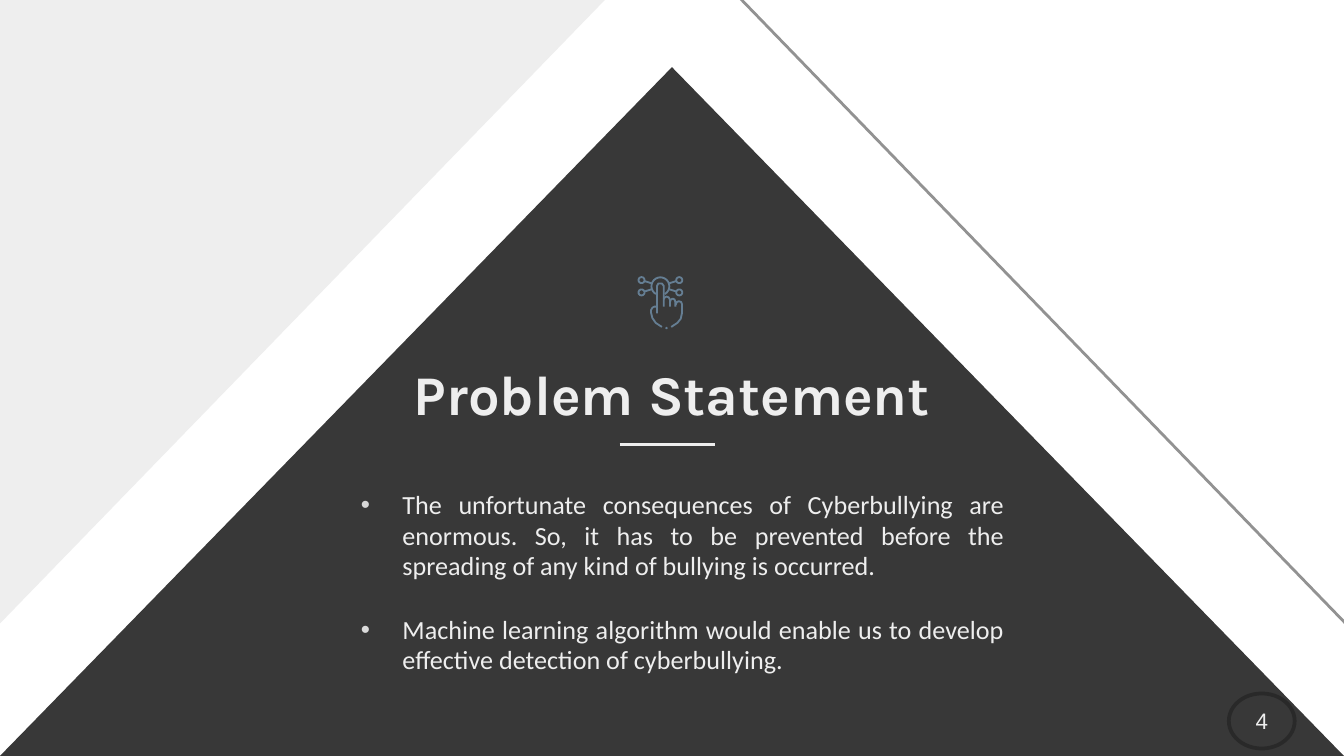
from math import cos, radians, sin

from lxml import etree
from pptx import Presentation
from pptx.dml.color import RGBColor
from pptx.enum.shapes import MSO_CONNECTOR, MSO_SHAPE
from pptx.enum.text import MSO_ANCHOR, MSO_AUTO_SIZE, PP_ALIGN
from pptx.oxml.ns import qn
from pptx.util import Pt

TRIANGLE, CORNER, ELLIPSE = (MSO_SHAPE.ISOSCELES_TRIANGLE, MSO_SHAPE.RIGHT_TRIANGLE,
                             MSO_SHAPE.OVAL)
STRAIGHT = MSO_CONNECTOR.STRAIGHT
TOP, MIDDLE = MSO_ANCHOR.TOP, MSO_ANCHOR.MIDDLE
CENTER, JUSTIFY = PP_ALIGN.CENTER, PP_ALIGN.JUSTIFY

DARK, PALE, ICON_BLUE = "383838", "EEEEEE", "657E93"
WIDTH, HEIGHT = 720, 405


def color(value):
    return RGBColor.from_string(value)


def set_all(target, values):
    for name, value in values.items():
        setattr(target, name, value)


def arc(x, y, radius, start=0, end=360):
    """Return points on a circle, with angles counted from straight down."""
    return [(x + radius * sin(radians(angle)), y + radius * cos(radians(angle)))
            for angle in range(start, end + 1, 15)]


class SlideBuilder:
    title_font = {"name": "Karla", "size": Pt(30), "bold": True}
    body_font = {"name": "Calibri", "size": Pt(14), "bold": False}
    number_font = {"name": "Arial", "size": Pt(12), "bold": False}
    inset = Pt(7.2)

    def __init__(self, page):
        self.page = page
        self.shapes = page.shapes

    def paint(self, shape, fill=None, line=None, weight=1):
        shape.shadow.inherit = False
        if fill:
            shape.fill.solid()
            shape.fill.fore_color.rgb = color(fill)
        else:
            shape.fill.background()
        if line:
            shape.line.color.rgb = color(line)
            shape.line.width = Pt(weight)
        else:
            shape.line.fill.background()

    def shape(self, kind, left, top, width, height, rotation=0, flip=False, **style):
        shape = self.shapes.add_shape(kind, Pt(left), Pt(top), Pt(width), Pt(height))
        shape.rotation = rotation
        if flip:
            shape._element.spPr.find(qn("a:xfrm")).set("flipH", "1")
        self.paint(shape, **style)
        return shape

    def rule(self, x1, y1, x2, y2, line, weight):
        rule = self.shapes.add_connector(STRAIGHT, Pt(x1), Pt(y1), Pt(x2), Pt(y2))
        rule.line.color.rgb = color(line)
        rule.line.width = Pt(weight)
        etree.SubElement(rule._element.spPr, qn("a:effectLst"))

    def outline(self, shapes, strokes, **style):
        """Draw all strokes, each a list of points, as one freeform."""
        contours = [[(Pt(x), Pt(y)) for x, y in points] for points in strokes]
        builder = shapes.build_freeform(*contours[0][0])
        for start, *rest in contours:
            builder.move_to(*start)
            builder.add_line_segments(rest, close=False)
        self.paint(builder.convert_to_shape(), **style)

    def text(self, box, texts, font, anchor, align, gap=0, spacing=1.0):
        frame = box.text_frame
        set_all(frame, {"word_wrap": True, "auto_size": MSO_AUTO_SIZE.NONE,
                        "vertical_anchor": anchor,
                        "margin_left": self.inset, "margin_right": self.inset,
                        "margin_top": self.inset, "margin_bottom": self.inset})
        for index, words in enumerate(texts):
            para = frame.add_paragraph() if index else frame.paragraphs[0]
            set_all(para, {"alignment": align, "line_spacing": spacing,
                           "space_before": Pt(gap if index else 0),
                           "space_after": Pt(0)})
            span = para.add_run()
            span.text = words
            set_all(span.font, font)
            span.font.color.rgb = color(PALE)

    def placeholder(self, index, left, top, width, height):
        """Place a template placeholder in front of what is drawn so far."""
        box = self.page.placeholders[index]
        set_all(box, {"left": Pt(left), "top": Pt(top),
                      "width": Pt(width), "height": Pt(height)})
        self.shapes._spTree.append(box._element)
        return box

    def bullets(self, box, mark_colors, left, hanging):
        for para, mark_color in zip(box.text_frame.paragraphs, mark_colors):
            props = para._p.get_or_add_pPr()
            props.set("marL", str(Pt(left)))
            props.set("indent", str(-Pt(hanging)))
            mark = etree.SubElement(props, qn("a:buClr"))
            etree.SubElement(mark, qn("a:srgbClr"), val=mark_color)
            etree.SubElement(props, qn("a:buFont"), typeface="Arial")
            etree.SubElement(props, qn("a:buChar"), char="•")

    def touch_icon(self, x, y):
        """Draw a pointing hand on a ring with four nodes; x, y is the ring's centre."""
        strokes = [arc(x, y, 4.8, 30, 330)]
        for side in (-1, 1):
            for level in (-1, 1):
                strokes.append(arc(x + side * 10.1, y + level * 3.3, 1.6))
                strokes.append([(x + side * 8.5, y + level * 2.8),
                                (x + side * 4.7, y + level * 1.6)])
        hand = (
            [(0.8, 21.8), (-2.5, 19.6), (-4.3, 17), (-5, 14.2), (-5, 12.7),
             (-4.2, 11.4), (-3.2, 10.9), (-1.8, 10.9)],
            [(-1.8, 14.5), (-1.8, -0.2), (-1.1, -1.5), (0.8, -1.5), (1.8, -0.2),
             (1.8, 10.9)],
            [(1.8, 7), (2.3, 6), (3.3, 5.5), (4.5, 6), (5.1, 7.2), (5.1, 10.9)],
            [(5.1, 8.4), (5.6, 7.1), (6.6, 6.6), (7.6, 7.1), (8, 8.4), (8, 10.9)],
            [(8.2, 9.9), (8.8, 8.4), (9.9, 8), (11.1, 8.4), (11.6, 9.7), (11.6, 14.2),
             (10.9, 17.4), (9.1, 19.6), (5.8, 21.8)],
        )
        strokes += [[(x + dx, y + dy) for dx, dy in part] for part in hand]
        icon = self.shapes.add_group_shape()
        self.outline(icon.shapes, strokes, line=ICON_BLUE)
        self.outline(icon.shapes, [arc(x + 3.3, y + 22.4, 0.6)], fill=ICON_BLUE)


def main():
    deck = Presentation()
    set_all(deck, {"slide_width": Pt(WIDTH), "slide_height": Pt(HEIGHT)})
    build = SlideBuilder(deck.slides.add_slide(deck.slide_layouts[0]))

    build.shape(TRIANGLE, 0, 36, WIDTH, HEIGHT - 36, fill=DARK)
    build.shape(CORNER, -5, 5, 334, 324, rotation=90, fill=PALE)
    build.shape(CORNER, 388.8, 2.2, 343.4, 332.6, rotation=270, flip=True,
                line="929292", weight=1.5)

    title = build.placeholder(0, 133.2, 182.9, 453.6, 55.4)
    build.text(title, ["Problem Statement"], build.title_font, MIDDLE, CENTER)

    body = build.placeholder(1, 174.6, 255.2, 370.8, 118)
    build.text(body, [
        "The unfortunate consequences of Cyberbullying are enormous. So, it has to be "
        "prevented before the spreading of any kind of bullying is occurred.",
        "Machine learning algorithm would enable us to develop effective detection "
        "of cyberbullying.",
    ], build.body_font, TOP, JUSTIFY, gap=17.4, spacing=0.98)
    build.bullets(body, ("D7D7D7", "DBDBDB"), left=33.8, hanging=22.3)

    build.rule(332, 238.2, 383, 238.2, PALE, 1.5)
    build.touch_icon(353.8, 153.4)

    number = build.shape(ELLIPSE, 658.3, 371.5, 35.3, 29.5, fill=DARK,
                         line="292929", weight=2)
    build.text(number, ["4"], build.number_font, MIDDLE, CENTER)

    deck.save("out.pptx")


if __name__ == "__main__":
    main()
